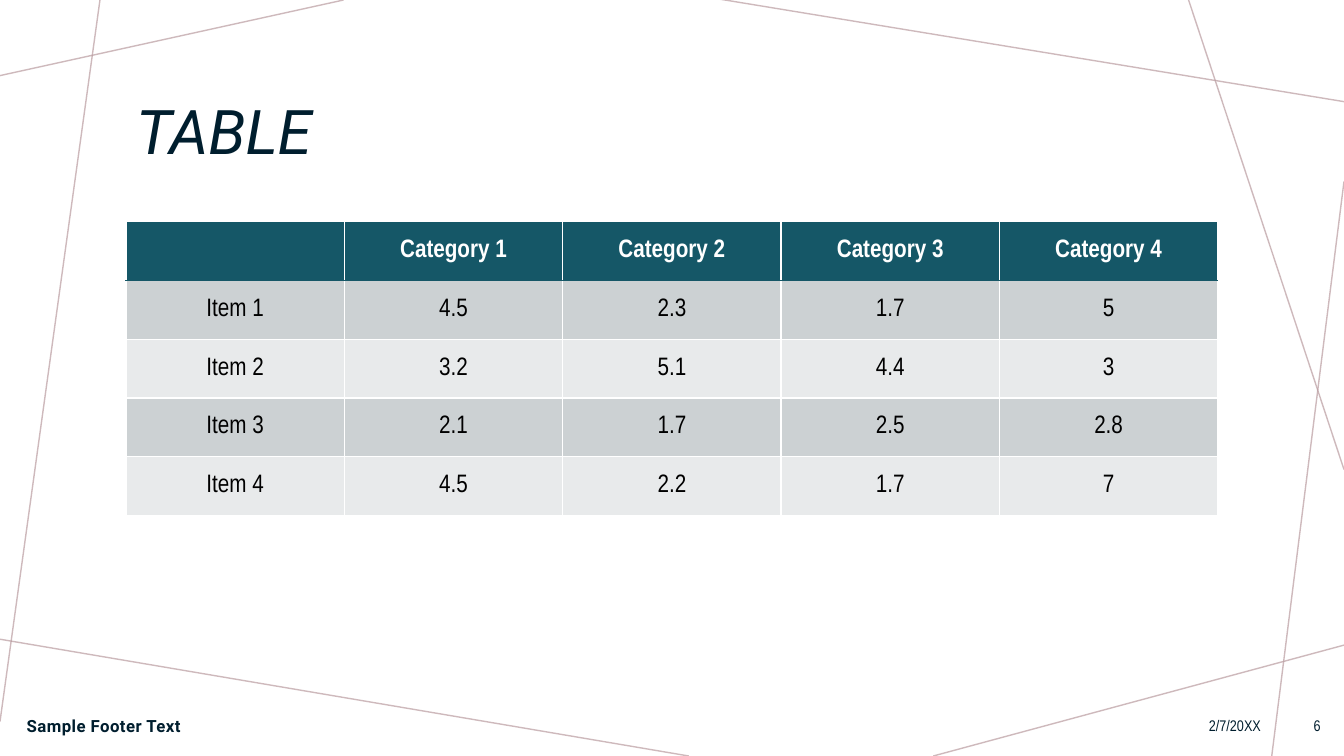
from lxml.etree import SubElement as Sub
from pptx import Presentation
from pptx.dml.color import RGBColor
from pptx.enum.shapes import MSO_CONNECTOR as Connector
from pptx.enum.text import MSO_ANCHOR as Anchor, PP_ALIGN as Align
from pptx.oxml.ns import qn
from pptx.util import Inches, Pt

NAVY = RGBColor(0x00, 0x1E, 0x2E)
TEAL = RGBColor(0x15, 0x57, 0x67)
MAUVE = RGBColor(0xBA, 0x9C, 0xA0)
GRAY = RGBColor(0xCC, 0xD1, 0xD3)
PALE = RGBColor(0xE8, 0xEA, 0xEB)
WHITE = RGBColor(0xFF, 0xFF, 0xFF)
BLACK = RGBColor(0x00, 0x00, 0x00)

COLUMNS, ROWS = 160, 90

LINES = [
    (40.9, 0, 0, 9),
    (11.9, 0, 0, 85.9),
    (82, 90, -0.6, 76),
    (160, 76.8, 111.1, 90),
    (160, 21.6, 151.4, 90),
    (160, 55.9, 141.5, 0),
    (160, 12.1, 85.7, -0.1),
]

DATA = [
    ["", "Category 1", "Category 2", "Category 3", "Category 4"],
    ["Item 1", "4.5", "2.3", "1.7", "5"],
    ["Item 2", "3.2", "5.1", "4.4", "3"],
    ["Item 3", "2.1", "1.7", "2.5", "2.8"],
    ["Item 4", "4.5", "2.2", "1.7", "7"],
]


def write(tf, text, font="Arial Narrow", size=18, color=NAVY, bold=False,
          italic=False, align=Align.LEFT, line_spacing=None, tracking=None):
    tf.word_wrap = True
    p = tf.paragraphs[0]
    p.alignment = align
    p.line_spacing = line_spacing
    r = p.add_run()
    r.text = text
    r.font.name = font
    r.font.size = Pt(size)
    r.font.color.rgb = color
    r.font.bold = bold
    r.font.italic = italic
    if tracking:
        r.font._element.set("spc", str(round(tracking * 100)))


class Deck:
    def __init__(self):
        self.prs = Presentation()
        self.prs.slide_width = Inches(13.33)
        self.prs.slide_height = Inches(7.5)
        self.s = self.prs.slides.add_slide(self.prs.slide_layouts[5])
        self.s.background.fill.solid()
        self.s.background.fill.fore_color.rgb = WHITE

    def x(self, columns):
        return round(self.prs.slide_width * columns / COLUMNS)

    def y(self, rows):
        return round(self.prs.slide_height * rows / ROWS)

    def box(self, left, top, width, height):
        return self.x(left), self.y(top), self.x(width), self.y(height)

    def line(self, x1, y1, x2, y2):
        sp = self.s.shapes.add_connector(
            Connector.STRAIGHT, self.x(x1), self.y(y1), self.x(x2), self.y(y2))
        sp.line.color.rgb = MAUVE
        sp.line.width = Pt(1)
        color = sp.line._ln.find(".//" + qn("a:srgbClr"))
        Sub(color, qn("a:alpha"), val="70000")
        Sub(sp._element.spPr, qn("a:effectLst"))

    def title(self, text, *place, **style):
        sp = self.s.shapes.title
        sp.left, sp.top, sp.width, sp.height = self.box(*place)
        sp.text_frame.vertical_anchor = Anchor.MIDDLE
        write(sp.text_frame, text, **style)

    def text(self, text, *place, **style):
        sp = self.s.shapes.add_textbox(*self.box(*place))
        sp.text_frame.vertical_anchor = Anchor.MIDDLE
        write(sp.text_frame, text, **style)

    def border(self, cell, side, color, width):
        ln = Sub(cell._tc.get_or_add_tcPr(), qn("a:ln" + side), w=str(Pt(width)))
        Sub(Sub(ln, qn("a:solidFill")), qn("a:srgbClr"), val=str(color))

    def table(self, data, left, top, column, row):
        place = self.box(left, top, column * len(data[0]), row * len(data))
        table = self.s.shapes.add_table(len(data), len(data[0]), *place).table
        for col in table.columns:
            col.width = self.x(column)
        for i, values in enumerate(data):
            table.rows[i].height = self.y(row)
            header = i == 0
            fill = TEAL if header else GRAY if i % 2 else PALE
            rules = {side: (WHITE, 1) for side in "LRTB"}
            if i < 2:
                rules["B" if header else "T"] = (TEAL, 0.75)
            for j, value in enumerate(values):
                cell = table.cell(i, j)
                cell.vertical_anchor = Anchor.MIDDLE
                for side, (color, width) in rules.items():
                    self.border(cell, side, color, width)
                cell.fill.solid()
                cell.fill.fore_color.rgb = fill
                if value:
                    write(cell.text_frame, value, bold=header, align=Align.CENTER,
                          color=WHITE if header else BLACK)


def main():
    deck = Deck()
    for ends in LINES:
        deck.line(*ends)
    deck.title("TABLE", 15, 7, 130, 18.1, font="Roboto", size=44, italic=True,
               line_spacing=0.9)
    deck.table(DATA, 15, 26.4, column=26, row=7)
    deck.text("Sample Footer Text", 2, 84, 59, 4.8, font="Roboto", size=12,
              bold=True, tracking=0.3)
    deck.text("2/7/20XX", 96.2, 84, 55.1, 4.8, size=11, align=Align.RIGHT)
    deck.text("6", 152.3, 84, 6.1, 4.8, size=11, align=Align.RIGHT)
    deck.prs.save("out.pptx")


if __name__ == "__main__":
    main()
